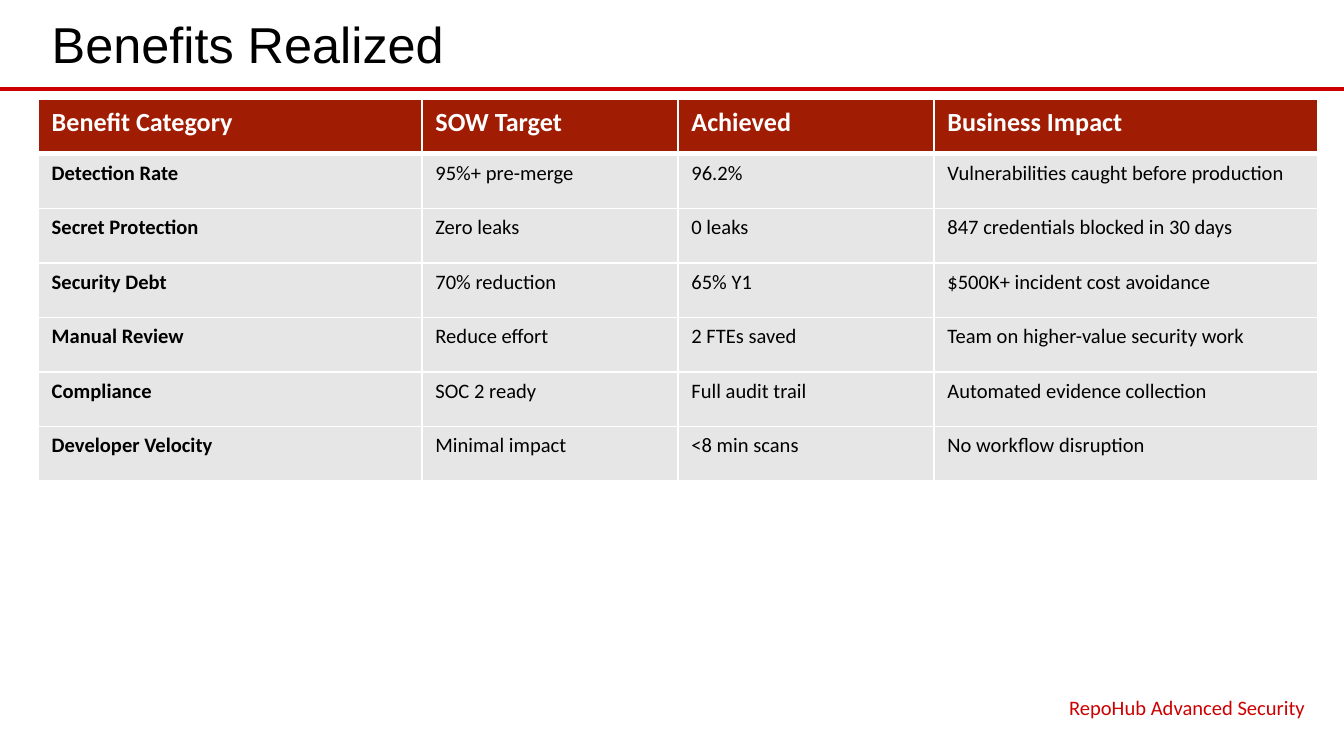
from lxml import etree
from pptx import Presentation
from pptx.dml.color import RGBColor
from pptx.enum.shapes import MSO_CONNECTOR
from pptx.enum.text import MSO_ANCHOR, PP_ALIGN
from pptx.oxml.ns import qn
from pptx.util import Emu, Pt

STRAIGHT = MSO_CONNECTOR.STRAIGHT
TOP = MSO_ANCHOR.TOP
LEFT, RIGHT = PP_ALIGN.LEFT, PP_ALIGN.RIGHT
TITLE_ONLY = 5
EMU_PER_PX = 4572  # 200 px to the inch
SLIDE_WIDTH, SLIDE_HEIGHT = 2000, 1125

HEADERS = ["Benefit Category", "SOW Target", "Achieved", "Business Impact"]
BENEFITS = [
    ["Detection Rate", "95%+ pre-merge", "96.2%", "Vulnerabilities caught before production"],
    ["Secret Protection", "Zero leaks", "0 leaks", "847 credentials blocked in 30 days"],
    ["Security Debt", "70% reduction", "65% Y1", "$500K+ incident cost avoidance"],
    ["Manual Review", "Reduce effort", "2 FTEs saved", "Team on higher-value security work"],
    ["Compliance", "SOC 2 ready", "Full audit trail", "Automated evidence collection"],
    ["Developer Velocity", "Minimal impact", "<8 min scans", "No workflow disruption"],
]
COLUMN_WIDTHS = [571, 381, 381, 571]


def px(length):
    return Emu(length * EMU_PER_PX)


def rgb(color):
    return RGBColor.from_string(color)


class SlideBuilder:
    TITLE_FONT, BODY_FONT = "Arial", "Calibri"
    BLACK, WHITE, RED = "000000", "FFFFFF", "CC0000"
    HEADER_FILL, ROW_FILL = "A01C02", "E7E6E6"

    def __init__(self, slide):
        self.slide = slide

    def style(self, paragraph, font, size, color, bold=False, align=LEFT):
        paragraph.alignment = align
        for run in paragraph.runs:
            run.font.name = font
            run.font.size = Pt(size)
            run.font.bold = bold
            run.font.color.rgb = rgb(color)

    def fill_frame(self, shape, text, *style, **options):
        frame = shape.text_frame
        frame.word_wrap = True
        frame.vertical_anchor = TOP
        frame.text = text
        self.style(frame.paragraphs[0], *style, **options)

    def title(self, text, left, top, width, height):
        title = self.slide.shapes.title
        title.left, title.top = px(left), px(top)
        title.width, title.height = px(width), px(height)
        self.fill_frame(title, text, self.TITLE_FONT, 27, self.BLACK)

    def footer(self, text, left, top, width, height):
        footer = self.slide.shapes.add_textbox(px(left), px(top), px(width), px(height))
        self.fill_frame(footer, text, self.BODY_FONT, 11, self.RED, align=RIGHT)

    def rule(self, x1, y1, x2, y2):
        rule = self.slide.shapes.add_connector(STRAIGHT, px(x1), px(y1), px(x2), px(y2))
        rule.line.color.rgb = rgb(self.RED)
        rule.line.width = Pt(2.25)
        etree.SubElement(rule._element.spPr, qn("a:effectLst"))

    def borders(self, cell, **widths):
        properties = cell._tc.get_or_add_tcPr()
        for side in "LRTB":
            line = etree.SubElement(properties, qn(f"a:ln{side}"), w=str(Pt(widths.get(side, 1))))
            solid = etree.SubElement(line, qn("a:solidFill"))
            etree.SubElement(solid, qn("a:srgbClr"), val=self.WHITE)

    def table(self, rows, column_widths, left, top, height):
        table = self.slide.shapes.add_table(
            len(rows), len(column_widths), px(left), px(top), px(sum(column_widths)), px(height)
        ).table
        for column, width in zip(table.columns, column_widths):
            column.width = px(width)
        for r, row in enumerate(rows):
            is_header = r == 0
            # The line under the header is heavier than the others
            heavy = {0: {"B": 3}, 1: {"T": 3}}.get(r, {})
            for c, text in enumerate(row):
                cell = table.cell(r, c)
                self.borders(cell, **heavy)
                cell.fill.solid()
                cell.fill.fore_color.rgb = rgb(self.HEADER_FILL if is_header else self.ROW_FILL)
                cell.text_frame.text = text
                self.style(
                    cell.text_frame.paragraphs[0],
                    self.BODY_FONT,
                    14 if is_header else 11,
                    self.WHITE if is_header else self.BLACK,
                    bold=is_header or c == 0,
                )


def main():
    presentation = Presentation()
    presentation.slide_width, presentation.slide_height = px(SLIDE_WIDTH), px(SLIDE_HEIGHT)
    layout = presentation.slide_layouts[TITLE_ONLY]
    builder = SlideBuilder(presentation.slides.add_slide(layout))

    # Heading with the rule below it
    builder.rule(0, 132, SLIDE_WIDTH, 132)
    builder.title("Benefits Realized", 57, 9, 1905, 115)

    # Targets and results
    builder.table([HEADERS, *BENEFITS], COLUMN_WIDTHS, 57, 148, 568)

    # Footer
    builder.footer("RepoHub Advanced Security", 1258, 1024, 704, 52)

    presentation.save("out.pptx")


if __name__ == "__main__":
    main()
